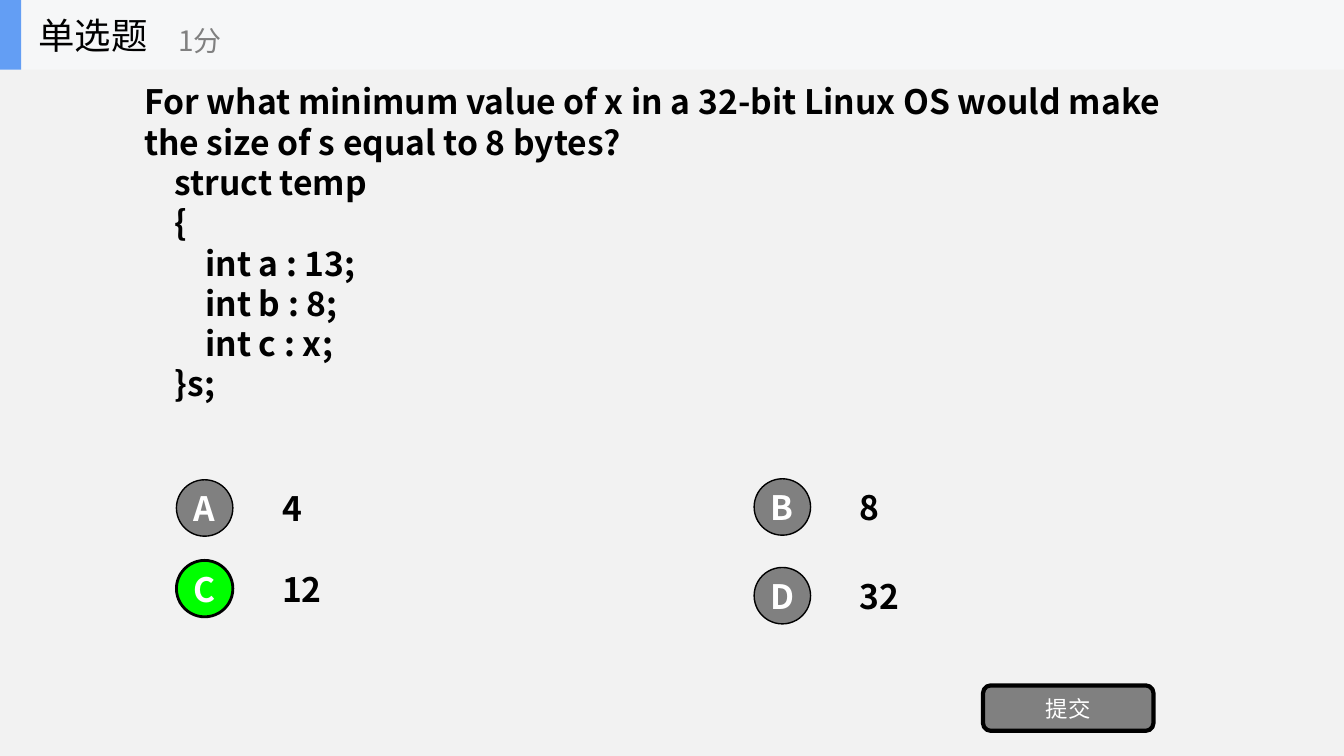
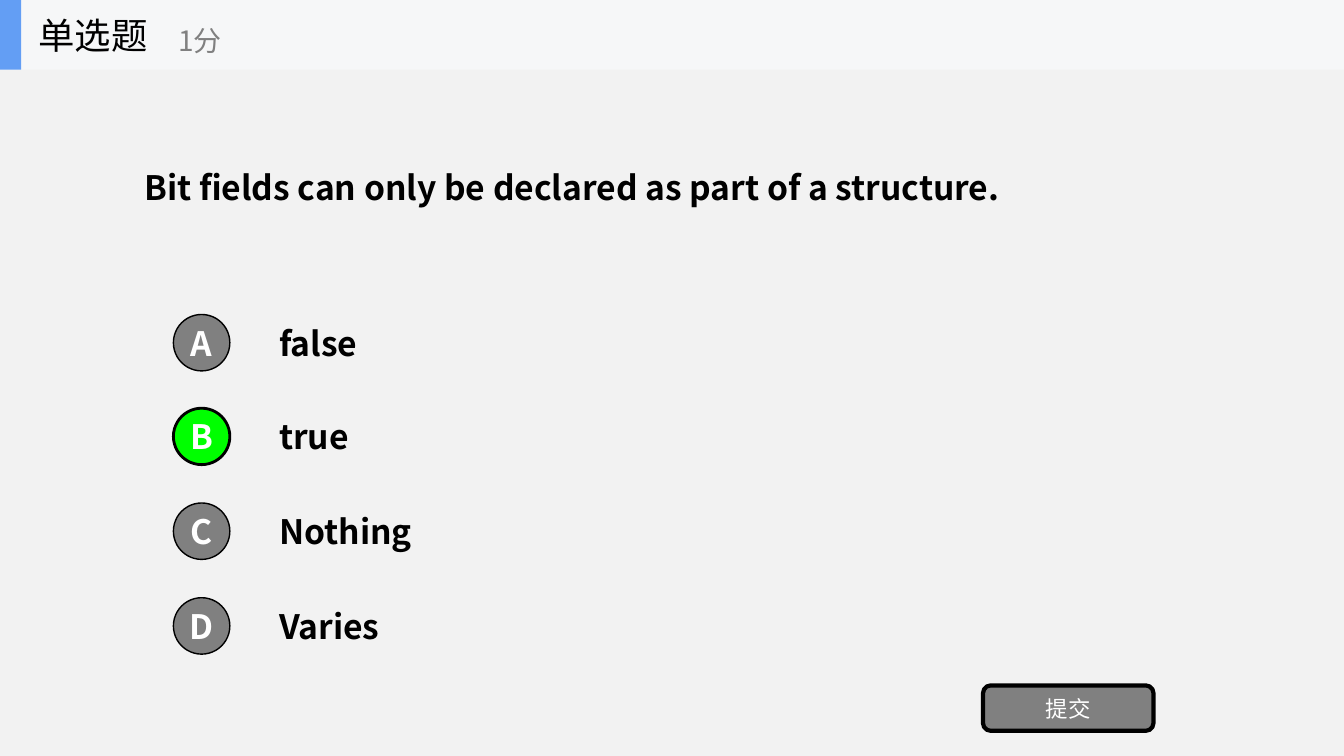
"""Build two single-choice quiz slides with a shared header band and submit button."""
from lxml.etree import SubElement
from pptx import Presentation
from pptx.dml.color import RGBColor
from pptx.enum.shapes import MSO_SHAPE as Preset
from pptx.enum.text import MSO_ANCHOR as Anchor, MSO_AUTO_SIZE as AutoSize, PP_ALIGN as Align
from pptx.oxml.ns import qn
from pptx.util import Pt

PX = 9144
FONT = "Noto Sans CJK SC"
COLORS = {
    "page": "F2F2F2",
    "band": "F6F7F8",
    "accent": "639EF4",
    "text": "000000",
    "grey": "808080",
    "correct": "00FF00",
    "white": "FFFFFF",
}
CIRCLE = 56
LABEL_OFFSET = 95
LABEL_HEIGHT = 70

QUESTIONS = [
    {
        "box": (133, 68, 1067, 345),
        "lines": [
            "For what minimum value of x in a 32-bit Linux OS would make the size of s equal to 8 bytes?",
            "    struct temp",
            "    {",
            "        int a : 13;",
            "        int b : 8;",
            "        int c : x;",
            "    }s;",
        ],
        "answer": "C",
        "options": [
            ("A", "4", 175, 476, 90),
            ("B", "8", 748, 475, 123),
            ("C", "12", 175, 556, 163),
            ("D", "32", 748, 563, 87),
        ],
    },
    {
        "box": (133, 69, 1067, 234),
        "lines": ["Bit fields can only be declared as part of a structure."],
        "answer": "B",
        "options": [
            (letter, label, 172, 312 + 281 * row // 3, 933)
            for row, (letter, label) in enumerate(zip("ABCD", ["false", "true", "Nothing", "Varies"]))
        ],
    },
]


def write(shape, lines, size, color="text", bold=False, align=Align.LEFT):
    frame = shape.text_frame
    frame.word_wrap = True
    frame.auto_size = AutoSize.NONE
    frame.vertical_anchor = Anchor.MIDDLE
    frame.text = "\n".join(lines)
    for paragraph in frame.paragraphs:
        paragraph.alignment = align
        paragraph.space_before = Pt(0)
        properties = paragraph._p.get_or_add_pPr()
        if shape.is_placeholder:
            properties.set("marL", "0")
            properties.set("indent", "0")
            SubElement(properties, qn("a:buNone"))
        font = paragraph.font
        font.size = Pt(size)
        font.bold = bold
        font.color.rgb = RGBColor.from_string(COLORS[color])
        font.name = FONT
        SubElement(properties.find(qn("a:defRPr")), qn("a:ea"), typeface=FONT)


def add_filled(slide, preset, box, fill, line_width=0):
    shape = slide.shapes.add_shape(preset, *(length * PX for length in box))
    shape.shadow.inherit = False
    shape.fill.solid()
    shape.fill.fore_color.rgb = RGBColor.from_string(COLORS[fill])
    if line_width:
        shape.line.color.rgb = RGBColor.from_string(COLORS["text"])
        shape.line.width = Pt(line_width)
    else:
        shape.line.fill.background()
    frame = shape.text_frame
    frame.margin_left = frame.margin_right = frame.margin_top = frame.margin_bottom = 0
    return shape


presentation = Presentation()
presentation.slide_width = 1333 * PX
presentation.slide_height = 750 * PX

layout = presentation.slide_layouts[1]
title, body, *footers = layout.placeholders
for footer in footers:
    layout.shapes.element.remove(footer.element)
title.left, title.top, title.width, title.height = (length * PX for length in (28, 0, 208, 69))
slides = [presentation.slides.add_slide(layout) for question in QUESTIONS]

page = add_filled(slides[0], Preset.RECTANGLE, (0, 0, 1333, 750), "page")
band = add_filled(slides[0], Preset.RECTANGLE, (0, 0, 1333, 69), "band")
accent = add_filled(slides[0], Preset.RECTANGLE, (0, 0, 21, 69), "accent")
for shared_shape in (page, band, accent):
    title.element.addprevious(shared_shape.element)

for slide, question in zip(slides, QUESTIONS):
    write(slide.shapes.title, ["单选题"], 26)
    points = slide.shapes.add_textbox(167 * PX, 12 * PX, 250 * PX, 56 * PX)
    write(points, ["1分"], 20, "grey")

    prompt = slide.placeholders[1]
    prompt.left, prompt.top, prompt.width, prompt.height = (length * PX for length in question["box"])
    write(prompt, question["lines"], 24, bold=True)

    for letter, label, left, top, width in question["options"]:
        correct = letter == question["answer"]
        circle = add_filled(slide, Preset.OVAL, (left, top, CIRCLE, CIRCLE),
                            "correct" if correct else "grey", 2 if correct else 1)
        write(circle, [letter], 24, "white", True, Align.CENTER)
        label_top = top - (LABEL_HEIGHT - CIRCLE) // 2
        option = slide.shapes.add_textbox((left + LABEL_OFFSET) * PX, label_top * PX,
                                          width * PX, LABEL_HEIGHT * PX)
        write(option, [label], 24, bold=True)

    submit = add_filled(slide, Preset.ROUNDED_RECTANGLE, (975, 680, 169, 45), "grey", 3)
    write(submit, ["提交"], 16, "white", align=Align.CENTER)

presentation.save("out.pptx")
